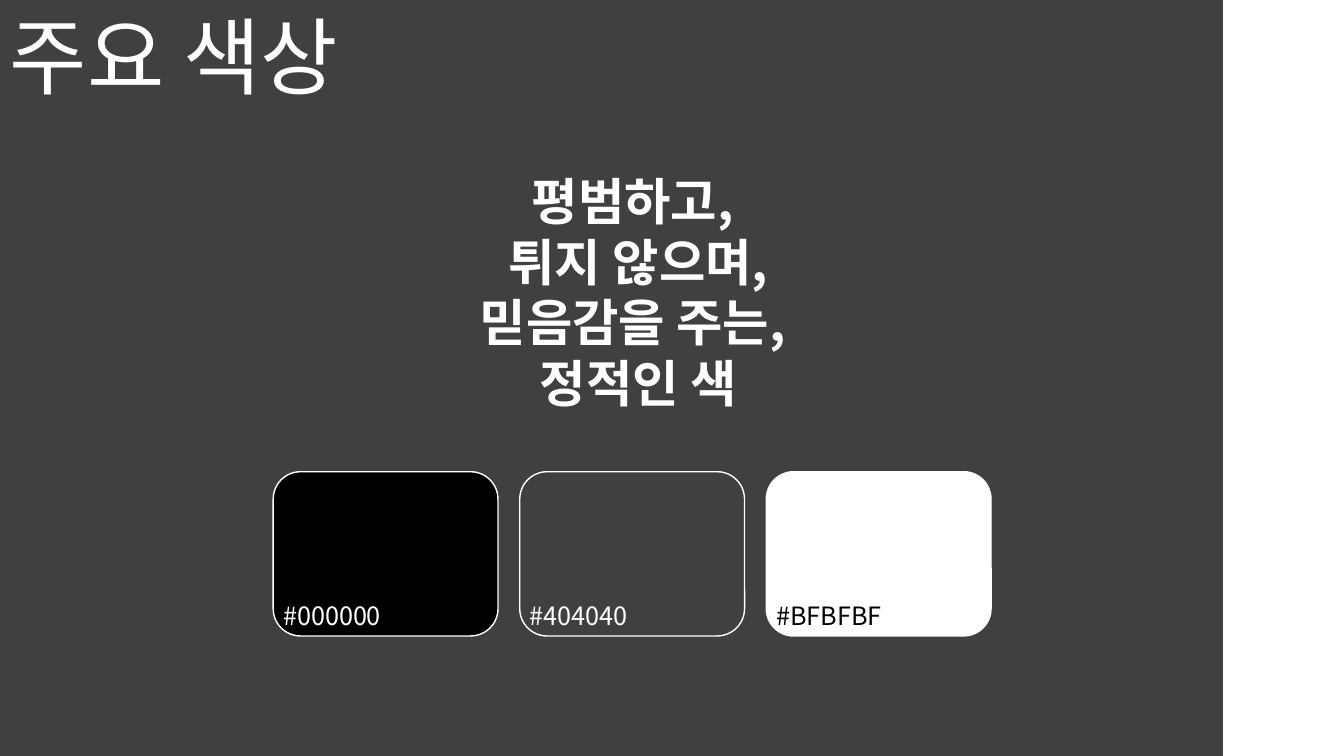
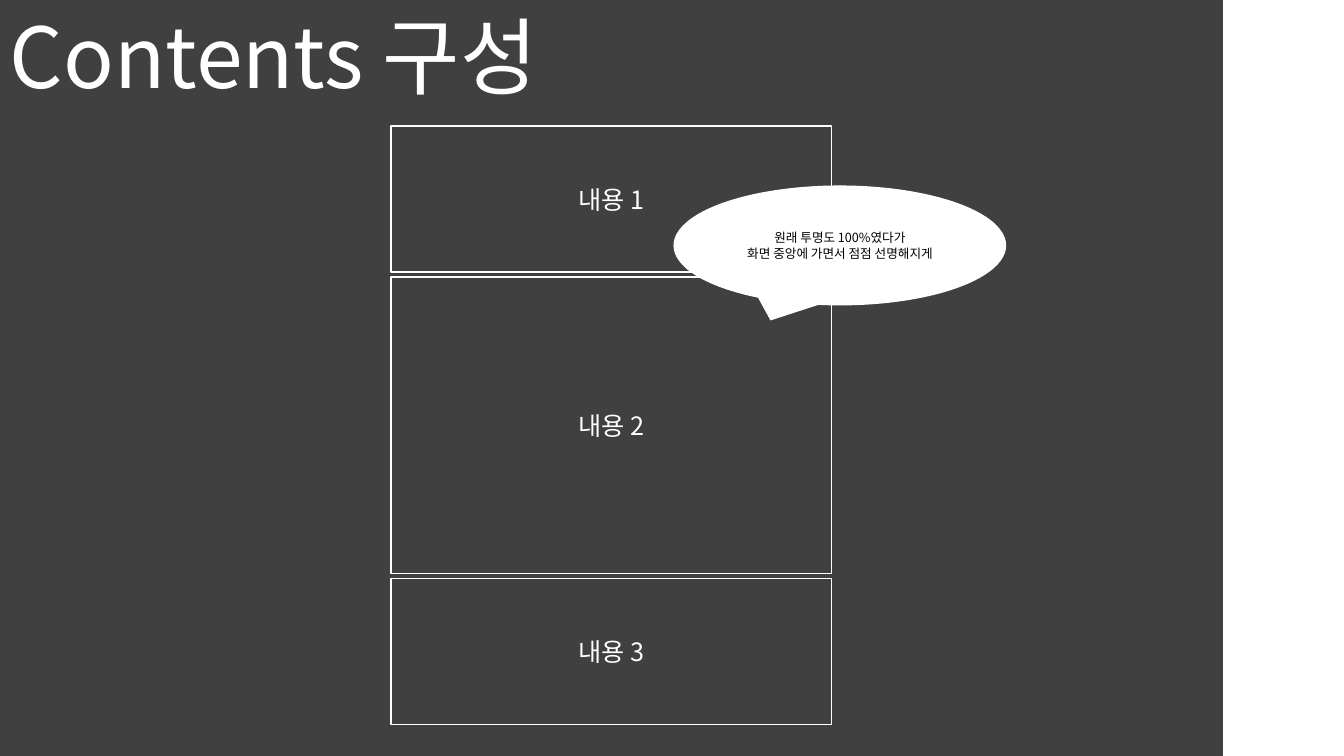
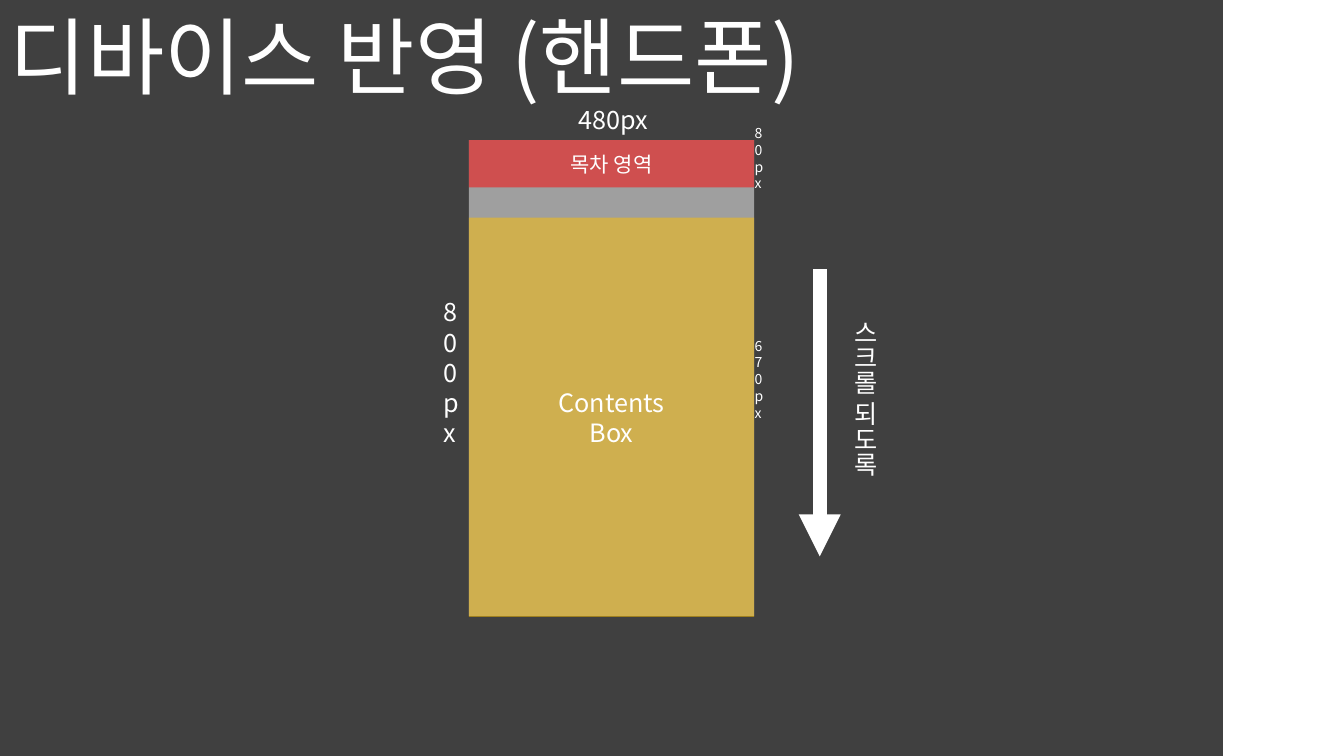
"""Build three slides on the colours, contents layout and phone layout of a web page."""
from lxml import etree
from pptx import Presentation
from pptx.dml.color import RGBColor
from pptx.enum.shapes import MSO_CONNECTOR, MSO_SHAPE
from pptx.enum.text import MSO_AUTO_SIZE, PP_ALIGN
from pptx.oxml.ns import qn
from pptx.util import Inches, Pt

FONT = "Noto Sans CJK KR"
WHITE = RGBColor(0xFF, 0xFF, 0xFF)
BLACK = RGBColor(0x00, 0x00, 0x00)
CHARCOAL = RGBColor(0x40, 0x40, 0x40)
RED = RGBColor(0xFF, 0x00, 0x00)
AMBER = RGBColor(0xFF, 0xC0, 0x00)


def add_text(page, at, lines, size, color=WHITE, align=PP_ALIGN.LEFT, bold=False, box=None, vertical=False):
    if box is None:
        box = page.shapes.add_textbox(*map(Inches, at))
        box.text_frame.auto_size = MSO_AUTO_SIZE.SHAPE_TO_FIT_TEXT
    frame = box.text_frame
    frame.word_wrap = True
    if vertical:
        frame._txBody.bodyPr.set("vert", "eaVert")
    frame.text = lines
    for paragraph in frame.paragraphs:
        paragraph.alignment = align
        paragraph.font.size = Pt(size)
        paragraph.font.bold = bold
        paragraph.font.color.rgb = color
        paragraph.font.name = FONT
        defaults = paragraph._p.pPr.find(qn("a:defRPr"))
        etree.SubElement(defaults, qn("a:ea"), typeface=FONT)
    return box


def add_block(page, kind, at, fill, outline=None, lines="", size=18, color=WHITE, alpha=None):
    block = page.shapes.add_shape(kind, *map(Inches, at))
    block.shadow.inherit = False
    block.fill.solid()
    block.fill.fore_color.rgb = fill
    if alpha is not None:
        fill_color = block._element.spPr.find(qn("a:solidFill"))[0]
        etree.SubElement(fill_color, qn("a:alpha"), val=str(alpha * 1000))
    if outline is None:
        block.line.fill.background()
    else:
        block.line.color.rgb = outline
        block.line.width = Pt(1)
    if lines:
        add_text(page, at, lines, size, color, PP_ALIGN.CENTER, box=block)
    return block


deck = Presentation()
deck.slide_width = Inches(13.33)
deck.slide_height = Inches(7.5)

pages = []
for title, width in [("주요 색상", 6.74), ("Contents 구성", 11.26), ("디바이스 반영 (핸드폰)", 9.31)]:
    page = deck.slides.add_slide(deck.slide_layouts[6])
    add_block(page, MSO_SHAPE.RECTANGLE, (0, 0, 12.13, 7.5), CHARCOAL)
    add_text(page, (0, 0, width, 1.11), title, 60)
    pages.append(page)
color_page, contents_page, phone_page = pages

swatches = [("#000000", BLACK, WHITE), ("#404040", CHARCOAL, WHITE), ("#BFBFBF", WHITE, BLACK)]
for index, (code, fill, code_color) in enumerate(swatches):
    left = 2.71 + index * 2.445
    add_block(color_page, MSO_SHAPE.ROUNDED_RECTANGLE, (left, 4.68, 2.23, 1.63), fill, WHITE)
    add_text(color_page, (left, 5.91, 1.88, 0.4), code, 18, code_color)
add_text(color_page, (0.67, 1.64, 11.21, 2.52), "평범하고,\n 튀지 않으며,\n믿음감을 주는,\n 정적인 색",
         36, align=PP_ALIGN.CENTER, bold=True)

top = 1.25
for number, height in enumerate([1.45, 2.94, 1.45], start=1):
    add_block(contents_page, MSO_SHAPE.RECTANGLE, (3.88, top, 4.37, height), CHARCOAL, WHITE, f"내용 {number}")
    top += height + 0.05
add_block(contents_page, MSO_SHAPE.OVAL_CALLOUT, (6.68, 1.84, 3.3, 1.19), WHITE,
          lines="원래 투명도 100%였다가\n화면 중앙에 가면서 점점 선명해지게", size=9, color=BLACK)

for top, height, fill, lines, size in [
    (1.39, 4.72, WHITE, "", 18),
    (1.39, 0.47, RED, "목차 영역", 15),
    (2.16, 3.96, AMBER, "Contents\nBox", 18),
]:
    add_block(phone_page, MSO_SHAPE.RECTANGLE, (4.65, top, 2.83, height), fill, lines=lines, size=size, alpha=50)

add_text(phone_page, (5.64, 0.99, 2.71, 0.4), "480px", 18)
for measure, left, top, width, size in [
    ("800px", 3.56, 3.73, 1.72, 18),
    ("80px", 7.07, 1.6, 0.88, 10),
    ("670px", 6.99, 3.79, 1.04, 10),
]:
    label = add_text(phone_page, (left, top, width, 0.05), measure, size, vertical=True)
    label.rotation = 270

scroll_arrow = phone_page.shapes.add_connector(
    MSO_CONNECTOR.STRAIGHT, Inches(8.13), Inches(2.67), Inches(8.13), Inches(5.52))
scroll_arrow.line.color.rgb = WHITE
scroll_arrow.line.width = Pt(10)
etree.SubElement(scroll_arrow.line._get_or_add_ln(), qn("a:tailEnd"), type="triangle")
etree.SubElement(scroll_arrow._element.spPr, qn("a:effectLst"))
add_text(phone_page, (8.28, 3.08, 0.5, 2.04), "스크롤 되도록", 18, vertical=True)

deck.save("out.pptx")
